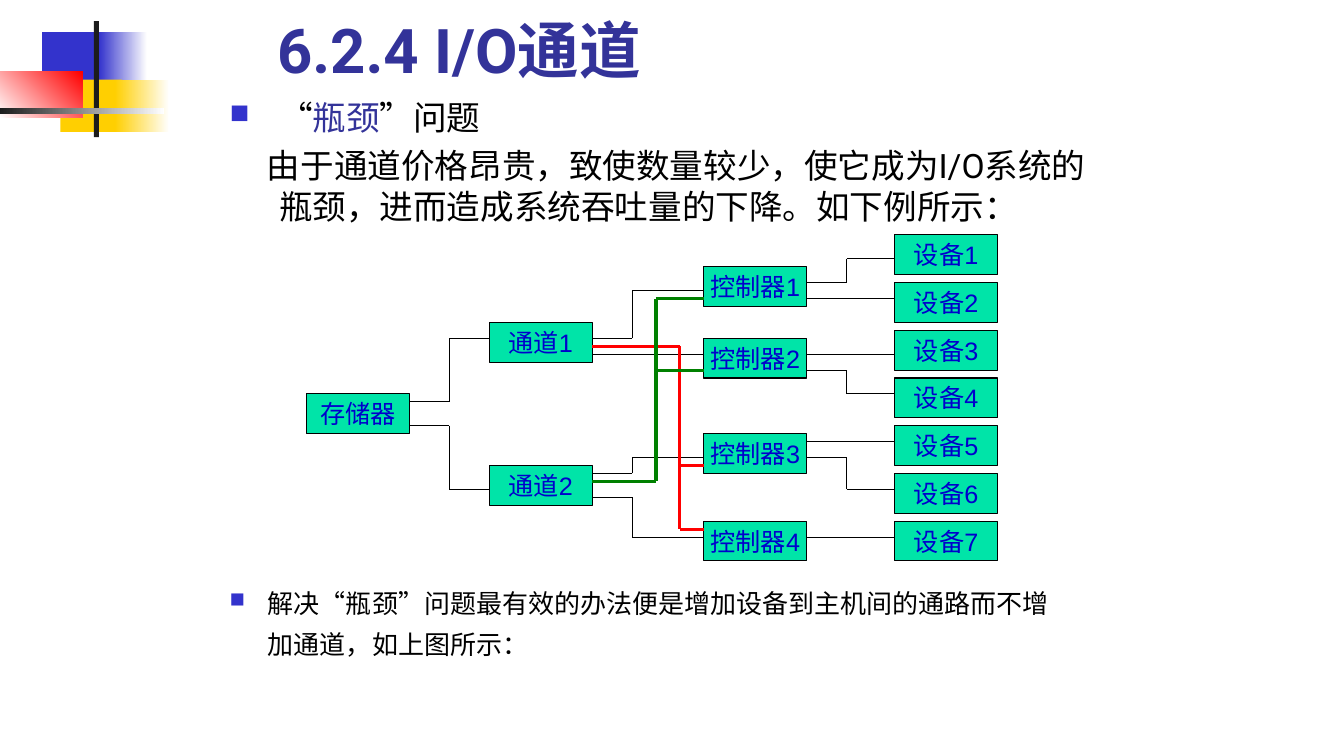
from dataclasses import dataclass
from itertools import pairwise

import pptx
import pptx.dml.color
import pptx.enum.shapes
import pptx.enum.text
import pptx.oxml
import pptx.oxml.ns
import pptx.util

Pt = pptx.util.Pt
RGB = pptx.dml.color.RGBColor.from_string


@dataclass(frozen=True)
class Theme:
    white: str = "FFFFFF"
    black: str = "000000"
    charcoal: str = "1C1C1C"
    blue: str = "3333CC"
    yellow: str = "FFCF01"
    red: str = "FF0000"
    green: str = "008000"
    heading: str = "333399"
    unit_fill: str = "00E4A8"
    unit_text: str = "0000CC"
    text_font: str = "Roboto"
    unit_font: str = "Arial"
    title_size: float = 44
    body_size: float = 24
    conclusion_size: float = 18.6
    unit_size: float = 18
    thin: float = 0.74
    thick: float = 2.24


@dataclass(frozen=True)
class Band:
    left: float
    top: float
    width: float
    height: float
    start: str
    end: str = ""
    angle: float = 0


@dataclass(frozen=True)
class Unit:
    label: str
    column: int
    row: int


@dataclass(frozen=True)
class Wire:
    points: tuple[tuple[int, int], ...]
    color: str
    width: float


@dataclass(frozen=True)
class Passage:
    runs: tuple[tuple[str, str], ...]
    size: float
    pitch: float
    margin: float
    indent: float
    bullet: bool


THEME = Theme()
STEP, GRID_LEFT, GRID_TOP = 5.68, 218.9, 167.8
UNIT_COLUMNS, UNIT_ROWS = 13, 5
CHANNEL, CONTROLLER, DEVICE = 23, 50, 74


def grid_x(column: int) -> pptx.util.Length:
    return Pt(GRID_LEFT + column * STEP)


def grid_y(row: int) -> pptx.util.Length:
    return Pt(GRID_TOP + row * STEP)


def add_run(paragraph, text: str, font: str, size: float, color: str, bold: bool = False) -> None:
    run = paragraph.add_run()
    run.text = text
    run.font.name = font
    run.font.size = Pt(size)
    run.font.bold = bold
    run.font.color.rgb = RGB(color)


def add_rectangle(slide, left, top, width, height):
    rectangle = slide.shapes.add_shape(
        pptx.enum.shapes.MSO_SHAPE.RECTANGLE, left, top, width, height)
    rectangle.shadow.inherit = False
    return rectangle


def draw_band(slide, band: Band) -> None:
    stripe = add_rectangle(slide, Pt(band.left), Pt(band.top), Pt(band.width), Pt(band.height))
    stripe.line.fill.background()
    if band.end:
        stripe.fill.gradient()
        stripe.fill.gradient_angle = band.angle
        for stop, color in zip(stripe.fill.gradient_stops, (band.start, band.end)):
            stop.color.rgb = RGB(color)
    else:
        stripe.fill.solid()
        stripe.fill.fore_color.rgb = RGB(band.start)


def draw_unit(slide, unit: Unit) -> None:
    box = add_rectangle(slide, grid_x(unit.column), grid_y(unit.row),
                        Pt(UNIT_COLUMNS * STEP), Pt(UNIT_ROWS * STEP))
    box.fill.solid()
    box.fill.fore_color.rgb = RGB(THEME.unit_fill)
    box.line.color.rgb = RGB(THEME.black)
    box.line.width = Pt(THEME.thin)
    box.text_frame.word_wrap = False
    box.text_frame.vertical_anchor = pptx.enum.text.MSO_ANCHOR.MIDDLE
    label = box.text_frame.paragraphs[0]
    label.alignment = pptx.enum.text.PP_ALIGN.CENTER
    add_run(label, unit.label, THEME.unit_font, THEME.unit_size, THEME.unit_text)


def draw_wire(slide, wire: Wire) -> None:
    for (x1, y1), (x2, y2) in pairwise(wire.points):
        segment = slide.shapes.add_connector(
            pptx.enum.shapes.MSO_CONNECTOR.STRAIGHT,
            grid_x(x1), grid_y(y1), grid_x(x2), grid_y(y2))
        segment.line.color.rgb = RGB(wire.color)
        segment.line.width = Pt(wire.width)
        properties = segment.element.spPr
        properties.append(pptx.oxml.parse_xml(
            f'<a:effectLst {pptx.oxml.ns.nsdecls("a")}/>'))


def draw_passages(slide, left: float, top: float, width: float, height: float,
                  passages: tuple[Passage, ...]) -> None:
    box = slide.shapes.add_textbox(Pt(left), Pt(top), Pt(width), Pt(height))
    frame = box.text_frame
    frame.word_wrap = True
    for index, passage in enumerate(passages):
        paragraph = frame.add_paragraph() if index else frame.paragraphs[0]
        paragraph.line_spacing = Pt(passage.pitch)
        paragraph.space_before = Pt(6)
        properties = paragraph._p.get_or_add_pPr()
        properties.set("marL", str(Pt(passage.margin)))
        properties.set("indent", str(Pt(passage.indent)))
        if passage.bullet:
            for tag in (f'buClr {{}}><a:srgbClr val="{THEME.blue}"/></a:buClr>',
                        'buSzPct {} val="80000"/>', 'buChar {} char="■"/>'):
                properties.append(pptx.oxml.parse_xml(
                    "<a:" + tag.format(pptx.oxml.ns.nsdecls("a"))))
        for text, color in passage.runs:
            add_run(paragraph, text, THEME.text_font, passage.size, color)


BANDS = (
    Band(30.2, 23, 46.1, 37.4, THEME.blue),
    Band(70.6, 23, 34.6, 37.4, THEME.blue, THEME.white),
    Band(43.2, 56.9, 43.9, 37.4, THEME.yellow),
    Band(82.1, 56.9, 38.9, 37.4, THEME.yellow, THEME.white),
    Band(0, 51.1, 59, 33.1, THEME.white, THEME.red, 45),
    Band(67, 15.1, 3.6, 82.8, THEME.charcoal),
    Band(0, 77, 117.4, 4.3, THEME.charcoal, THEME.white),
)
UNITS = (
    Unit("存储器", 0, 20),
    *(Unit(f"通道{n}", CHANNEL, row) for n, row in enumerate((11, 29), 1)),
    *(Unit(f"控制器{n}", CONTROLLER, row) for n, row in enumerate((4, 13, 25, 36), 1)),
    *(Unit(f"设备{n}", DEVICE, 6 * (n - 1)) for n in range(1, 8)),
)
DIRECT = ((36, 50, 15), (63, 74, 8), (63, 74, 15), (63, 74, 26), (63, 74, 38))
STEPPED = (
    (13, 18, 23, 21, 13), (13, 18, 23, 24, 32),
    (36, 41, 50, 13, 7), (36, 41, 50, 30, 28), (36, 41, 50, 33, 38),
    (63, 68, 74, 6, 3), (63, 68, 74, 17, 20), (63, 68, 74, 28, 32),
)
WIRES = (
    *(Wire(((x1, y), (x2, y)), THEME.black, THEME.thin) for x1, x2, y in DIRECT),
    *(Wire(((x1, y1), (bend, y1), (bend, y2), (x2, y2)), THEME.black, THEME.thin)
      for x1, bend, x2, y1, y2 in STEPPED),
    Wire(((36, 14), (47, 14), (47, 37), (50, 37)), THEME.red, THEME.thick),
    Wire(((47, 29), (50, 29)), THEME.red, THEME.thick),
    Wire(((36, 31), (44, 31), (44, 8), (50, 8)), THEME.green, THEME.thick),
    Wire(((44, 17), (50, 17)), THEME.green, THEME.thick),
)
PROBLEM = (
    Passage((("“", THEME.black), ("瓶颈", THEME.heading), ("”问题", THEME.black)),
            THEME.body_size, 28.8, 35.3, -35.3, True),
    Passage((("由于通道价格昂贵，致使数量较少，使它成为I/O系统的瓶颈，"
              "进而造成系统吞吐量的下降。如下例所示：", THEME.black),),
            THEME.body_size, 28.8, 35.3, -8.6, False),
)
CONCLUSION = (
    Passage((("解决“瓶颈”问题最有效的办法便是增加设备到主机间的通路而不增加通道，"
              "如上图所示：", THEME.black),),
            THEME.conclusion_size, 29.3, 27.4, -27.4, True),
)

presentation = pptx.Presentation()
presentation.slide_width = Pt(960.48)
presentation.slide_height = Pt(540)
slide = presentation.slides.add_slide(presentation.slide_layouts[5])

title = slide.shapes.title
title.left, title.top, title.width, title.height = Pt(190.8), Pt(3.6), Pt(613.4), Pt(61.2)
title.text_frame.auto_size = pptx.enum.text.MSO_AUTO_SIZE.NONE
title.text_frame.vertical_anchor = pptx.enum.text.MSO_ANCHOR.BOTTOM
heading = title.text_frame.paragraphs[0]
heading.alignment = pptx.enum.text.PP_ALIGN.LEFT
add_run(heading, "6.2.4 I/O通道", THEME.text_font, THEME.title_size, THEME.heading, True)

for band in BANDS:
    draw_band(slide, band)
draw_passages(slide, 157, 65.5, 646.6, 113, PROBLEM)
for unit in UNITS:
    draw_unit(slide, unit)
for wire in WIRES:
    draw_wire(slide, wire)
draw_passages(slide, 157, 409, 612, 62.6, CONCLUSION)

presentation.save("out.pptx")
